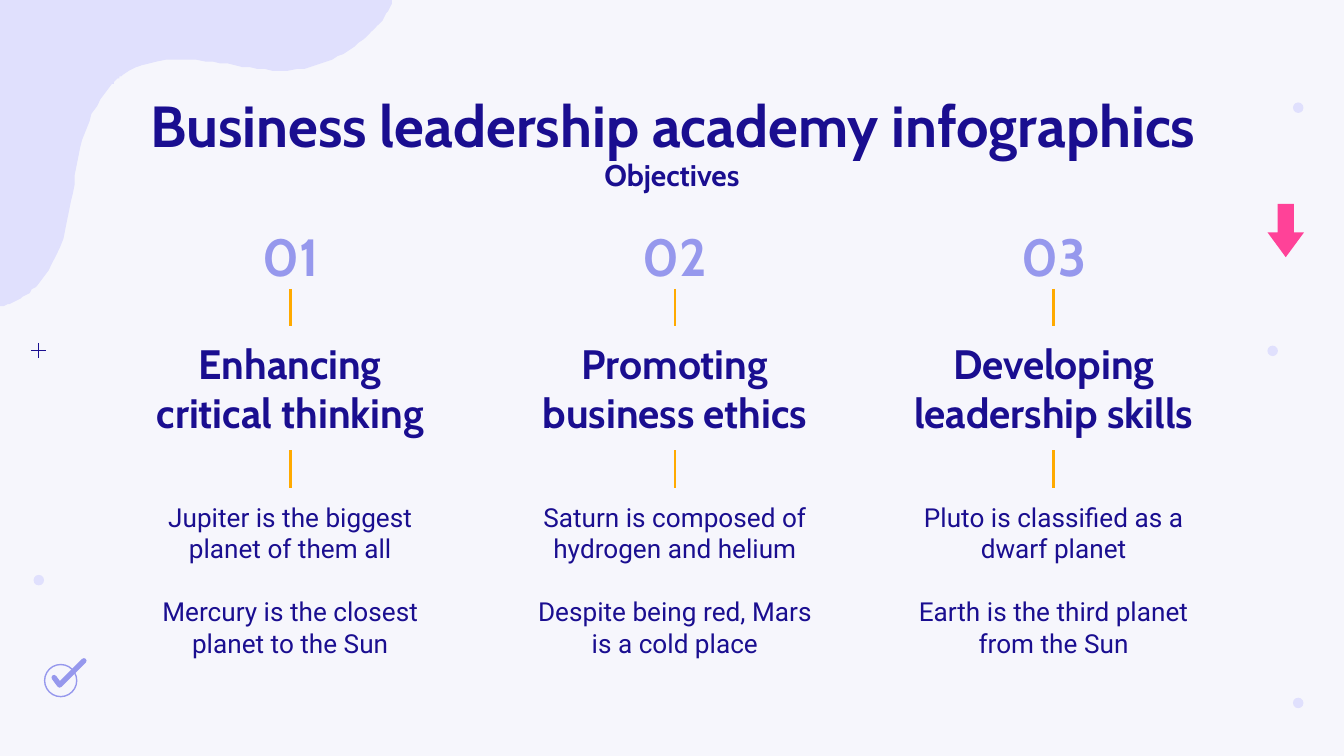
from lxml import etree
from pptx import Presentation
from pptx.dml.color import RGBColor
from pptx.enum import shapes, text
from pptx.oxml.ns import qn
from pptx.util import Pt

NAVY = RGBColor(0x1A, 0x0E, 0x90)
PERIWINKLE = RGBColor(0x96, 0x98, 0xED)
LAVENDER = RGBColor(0xE0, 0xE0, 0xFD)
PINK = RGBColor(0xFF, 0x42, 0x98)
AMBER = RGBColor(0xFF, 0xAA, 0x00)
PAPER = RGBColor(0xF6, 0xF6, 0xFC)

WIDTH, HEIGHT = 720, 405
COLUMN_WIDTH = 165.6
BLOB_CURVES = [
    [(210.5, 0), (207, 8), (203, 14), (197.3, 18.7)],
    [(197.3, 18.7), (187.9, 28.1), (175.7, 34.6), (162.7, 36.7)],
    [(162.7, 36.7), (146.2, 39.6), (130.3, 35.3), (113.8, 33.1)],
    [(113.8, 33.1), (97.2, 31), (79.2, 31), (65.5, 40.3)],
    [(65.5, 40.3), (63.4, 41.8), (61.2, 43.9), (59.8, 45.4)],
    [(59.8, 45.4), (46.8, 58.3), (42.5, 79.9), (39.6, 98.6)],
    [(39.6, 98.6), (37.4, 118.1), (33.1, 139.7), (20.2, 152.6)],
    [(20.2, 152.6), (14.4, 158.5), (7, 162.8), (0, 164)],
]
DOTS = [(18, 308), (692.7, 54.9), (679, 185.2), (692.7, 373.8)]
OBJECTIVES = [
    (72.7, "01", "Enhancing critical thinking",
     "Jupiter is the biggest planet of them all",
     "Mercury is the closest planet to the Sun"),
    (278.8, "02", "Promoting business ethics",
     "Saturn is composed of hydrogen and helium",
     "Despite being red, Mars is a cold place"),
    (481.7, "03", "Developing leadership skills",
     "Pluto is classified as a dwarf planet",
     "Earth is the third planet from the Sun"),
]


def add_label(slide, box, words, size, color=NAVY, font="Cabin",
              anchor=text.MSO_ANCHOR.TOP, spacing=1.0):
    """Add one centred paragraph in a wrapping text box."""
    frame = slide.shapes.add_textbox(*map(Pt, box)).text_frame
    frame.word_wrap = True
    frame.vertical_anchor = anchor
    frame.margin_left = frame.margin_right = Pt(7.2)
    frame.margin_top = frame.margin_bottom = Pt(7.2)
    line = frame.paragraphs[0]
    line.text = words
    line.alignment = text.PP_ALIGN.CENTER
    line.line_spacing = spacing
    line.font.name, line.font.size = font, Pt(size)
    line.font.bold = font == "Cabin"
    line.font.color.rgb = color


def add_line(slide, start, end, color, width):
    """Add a straight connector without a shadow."""
    line = slide.shapes.add_connector(
        shapes.MSO_CONNECTOR.STRAIGHT, *map(Pt, start + end))
    line.line.color.rgb, line.line.width = color, Pt(width)
    etree.SubElement(line._element.spPr, qn("a:effectLst"))


def fill_plain(shape, color):
    """Give a shape a flat fill with no outline or shadow."""
    shape.shadow.inherit = False
    shape.fill.solid()
    shape.fill.fore_color.rgb = color
    shape.line.fill.background()


def outline_plain(shape, color, width):
    """Give a shape an outline only."""
    shape.shadow.inherit = False
    shape.fill.background()
    shape.line.color.rgb, shape.line.width = color, Pt(width)


def add_path(slide, points, close):
    """Build a freeform through points given in points."""
    builder = slide.shapes.build_freeform(*points[0], scale=12700)
    builder.add_line_segments(points[1:], close=close)
    return builder.convert_to_shape()


def curve_points(curve, steps=12):
    """Sample a cubic curve after its start point."""
    def at(t):
        weights = ((1 - t) ** 3, 3 * t * (1 - t) ** 2, 3 * t * t * (1 - t), t ** 3)
        return tuple(sum(w * p[axis] for w, p in zip(weights, curve))
                     for axis in (0, 1))
    return [at(step / steps) for step in range(1, steps + 1)]


def add_blob(slide):
    """Draw the wavy corner in the top left."""
    edge = [point for curve in BLOB_CURVES for point in curve_points(curve)]
    fill_plain(add_path(slide, [(0, 0), BLOB_CURVES[0][0]] + edge, True), LAVENDER)


def add_arrow(slide, left, top, width, height):
    """Draw the arrow pointing down."""
    arrow = slide.shapes.add_shape(
        shapes.MSO_SHAPE.DOWN_ARROW, *map(Pt, (left, top, width, height)))
    arrow.adjustments[0], arrow.adjustments[1] = 0.44, 0.68
    fill_plain(arrow, PINK)


def add_plus(slide, x, y, reach):
    """Draw a thin plus sign around a centre."""
    add_line(slide, (x - reach, y), (x + reach, y), NAVY, 0.78)
    add_line(slide, (x, y - reach), (x, y + reach), NAVY, 0.78)


def add_check(slide, left, top):
    """Draw a ringed check mark."""
    ring = slide.shapes.add_shape(
        shapes.MSO_SHAPE.OVAL, *map(Pt, (left + 0.3, top + 3.2, 17.2, 17.2)))
    outline_plain(ring, PERIWINKLE, 0.75)
    tick = add_path(slide, [(left + 5, top + 10.4), (left + 8.9, top + 14.3),
                            (left + 21.6, top + 1.5)], False)
    outline_plain(tick, PERIWINKLE, 2.8)
    stroke = tick.line._get_or_add_ln()
    stroke.set("cap", "rnd")
    etree.SubElement(stroke, qn("a:round"))


def add_decor(slide):
    """Place the ornaments around the edges."""
    add_blob(slide)
    add_arrow(slide, 679, 109.2, 19.6, 28.6)
    add_plus(slide, 20.7, 187.8, 4.1)
    for left, top in DOTS:
        dot = slide.shapes.add_shape(
            shapes.MSO_SHAPE.OVAL, *map(Pt, (left, top, 5.6, 5.6)))
        fill_plain(dot, LAVENDER)
    add_check(slide, 23.6, 352.8)


def add_objective(slide, left, top, number, heading, *facts):
    """Place one column: number, heading and facts, joined by ticks."""
    add_label(slide, (left, top, COLUMN_WIDTH, 35.3), number, 28, PERIWINKLE,
              anchor=text.MSO_ANCHOR.MIDDLE)
    add_label(slide, (left, top + 55.4, COLUMN_WIDTH, 66.2), heading, 22,
              anchor=text.MSO_ANCHOR.BOTTOM)
    for row, fact in enumerate(facts):
        add_label(slide, (left, top + 141.8 + 50.6 * row, COLUMN_WIDTH, 45.4),
                  fact, 14, font="Roboto")
    middle = left + COLUMN_WIDTH / 2
    for tick_top in (top + 35.3, top + 121.7):
        add_line(slide, (middle, tick_top), (middle, tick_top + 20), AMBER, 1.5)


def main():
    """Build and save the slide."""
    deck = Presentation()
    deck.slide_width, deck.slide_height = Pt(WIDTH), Pt(HEIGHT)
    slide = deck.slides.add_slide(deck.slide_layouts[6])
    slide.background.fill.solid()
    slide.background.fill.fore_color.rgb = PAPER
    add_decor(slide)
    add_label(slide, (56.9, 35.3, 607, 45.4),
              "Business leadership academy infographics", 31, spacing=1.15)
    add_label(slide, (187.9, 77, 344.2, 31.7), "Objectives", 16)
    for left, *content in OBJECTIVES:
        add_objective(slide, left, 119.5, *content)
    deck.save("out.pptx")


if __name__ == "__main__":
    main()
